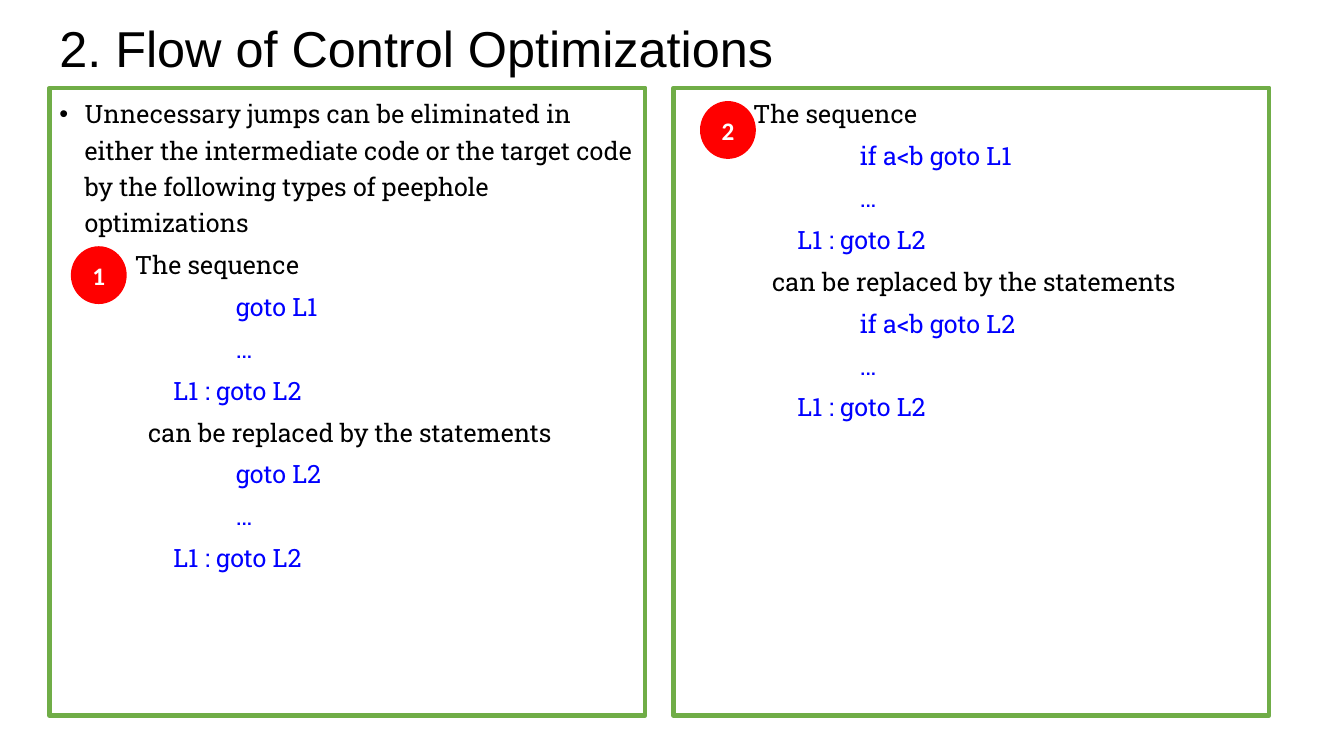
from lxml.etree import SubElement
from pptx import Presentation
from pptx.dml.color import RGBColor
from pptx.enum.shapes import MSO_SHAPE
from pptx.enum.text import MSO_ANCHOR, PP_ALIGN
from pptx.oxml.ns import qn
from pptx.util import Inches, Pt

# Content: each line is (style, text)
TITLE = "2. Flow of Control Optimizations"
INTRO = ("Unnecessary jumps can be eliminated in either the intermediate code "
         "or the target code by the following types of peephole optimizations")


def replacement_lines(jump):
    """Code before and after a jump to L1 is redirected to L2."""
    return [
        ("code", f"{jump} L1"), ("code", "…"), ("label", "L1 : goto L2"),
        ("result", "can be replaced by the statements"),
        ("code", f"{jump} L2"), ("code", "…"), ("label", "L1 : goto L2"),
    ]


PANELS = [
    [("bullet", INTRO), ("step", "The sequence")] + replacement_lines("goto"),
    [("first step", "The sequence")] + replacement_lines("if a<b goto"),
]
BADGES = [("1", 0.71, 2.45), ("2", 6.95, 1.01)]

# Style: left indent in inches, colour
STYLES = {
    "bullet": (0.25, "000000"),
    "step": (0.75, "000000"),
    "first step": (0.69, "000000"),
    "code": (1.75, "0000FF"),
    "label": (1.13, "0000FF"),
    "result": (0.88, "000000"),
}
PANEL_LEFT, PANEL_TOP, PANEL_WIDTH, PANEL_HEIGHT = 0.49, 0.87, 5.91, 6.23
PANEL_STEP = 6.19


def color(hex_value):
    return RGBColor.from_string(hex_value)


def format_font(paragraph, name, size, hex_value, bold=False):
    for run in paragraph.runs:
        run.font.name = name
        run.font.size = Pt(size)
        run.font.bold = bold
        run.font.color.rgb = color(hex_value)


def add_box(slide, kind, box, fill, line, line_width):
    shape = slide.shapes.add_shape(kind, *map(Inches, box))
    shape.shadow.inherit = False
    shape.fill.solid()
    shape.fill.fore_color.rgb = color(fill)
    shape.line.color.rgb = color(line)
    shape.line.width = Pt(line_width)
    return shape


def set_indent(paragraph, left, bullet):
    properties = paragraph._p.get_or_add_pPr()
    properties.set("marL", str(Inches(left)))
    properties.set("indent", str(Inches(-left if bullet else 0)))
    if bullet:
        bullet_color = SubElement(properties, qn("a:buClr"))
        SubElement(bullet_color, qn("a:srgbClr"), val="000000")
        SubElement(properties, qn("a:buFont"), typeface="Arial")
        SubElement(properties, qn("a:buChar"), char="•")


def add_panel(slide, left, lines):
    box = (left, PANEL_TOP, PANEL_WIDTH, PANEL_HEIGHT)
    panel = add_box(slide, MSO_SHAPE.RECTANGLE, box, "FFFFFF", "70AD47", 3)
    text_frame = panel.text_frame
    text_frame.word_wrap = True
    text_frame.vertical_anchor = MSO_ANCHOR.TOP
    text_frame.text = "\n".join(text for _, text in lines)
    for index, (paragraph, (style, _)) in enumerate(zip(text_frame.paragraphs, lines)):
        indent, text_color = STYLES[style]
        set_indent(paragraph, indent, style == "bullet")
        paragraph.alignment = PP_ALIGN.LEFT
        paragraph.line_spacing = 1.2
        paragraph.space_before = Pt(4 if index else 0)
        format_font(paragraph, "Roboto Slab", 18, text_color)


def add_badge(slide, number, left, top):
    badge = add_box(slide, MSO_SHAPE.OVAL, (left, top, 0.54, 0.56), "FF0000", "FF0000", 1)
    badge.text_frame.text = number
    badge.text_frame.vertical_anchor = MSO_ANCHOR.MIDDLE
    paragraph = badge.text_frame.paragraphs[0]
    paragraph.alignment = PP_ALIGN.CENTER
    format_font(paragraph, "Calibri", 18, "FFFFFF", bold=True)


def add_title(slide):
    title = slide.shapes.add_textbox(Inches(0.49), Inches(0), Inches(10.44), Inches(1.02))
    title.text_frame.word_wrap = True
    title.text_frame.vertical_anchor = MSO_ANCHOR.MIDDLE
    title.text_frame.text = TITLE
    paragraph = title.text_frame.paragraphs[0]
    paragraph.line_spacing = 0.9
    format_font(paragraph, "Arial", 36, "000000")


def main():
    presentation = Presentation()
    presentation.slide_width = Inches(13.33)
    presentation.slide_height = Inches(7.5)
    slide = presentation.slides.add_slide(presentation.slide_layouts[6])

    add_title(slide)
    for column, lines in enumerate(PANELS):
        add_panel(slide, PANEL_LEFT + column * PANEL_STEP, lines)
    for badge in BADGES:
        add_badge(slide, *badge)

    presentation.save("out.pptx")


if __name__ == "__main__":
    main()
